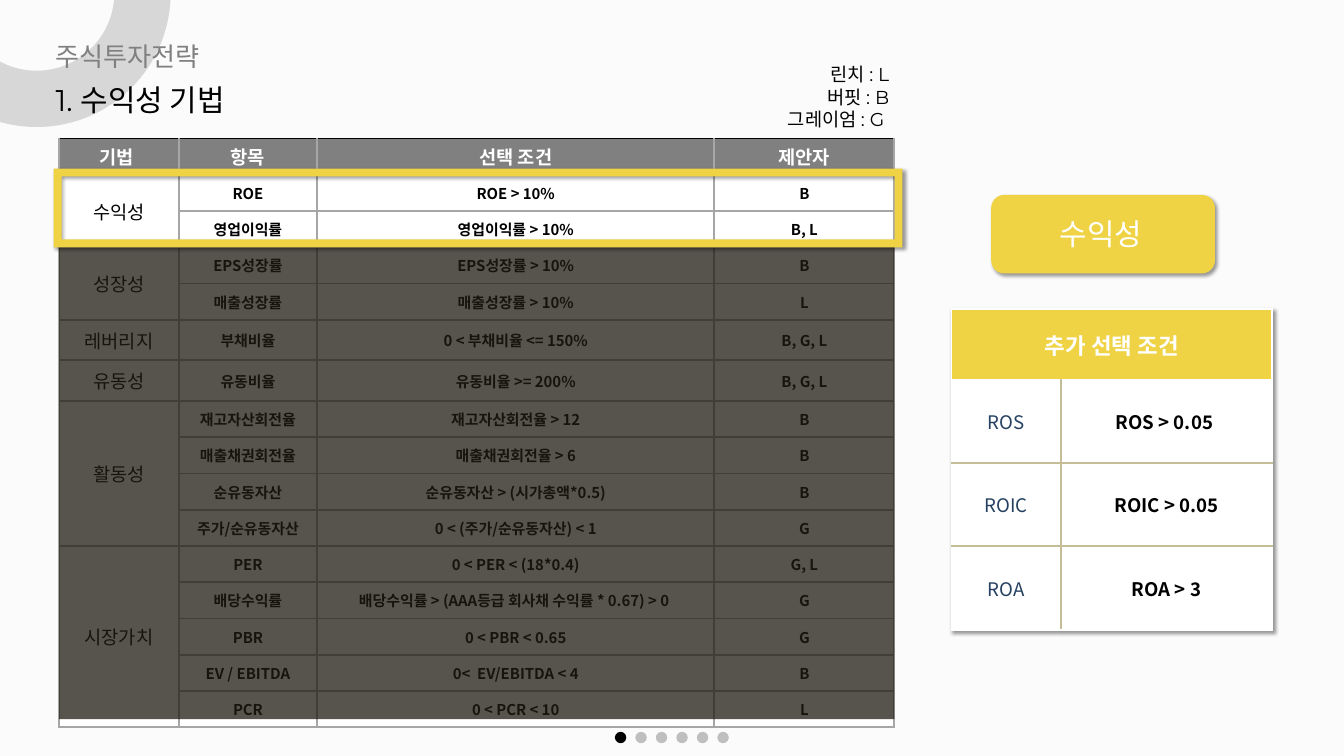
import lxml.etree
import pptx
import pptx.dml.color
import pptx.enum.shapes
import pptx.enum.text
import pptx.oxml.ns
import pptx.util

SHAPE = pptx.enum.shapes.MSO_SHAPE
ALIGN = pptx.enum.text.PP_ALIGN
SANS, DISPLAY = "Noto Sans CJK KR", "Montserrat"
YELLOW, GRAY, LINE, TAN = "EFD345", "808080", "A6A6A6", "C4BD97"
WHITE, BLACK, SILVER, NAVY, SHADE = "FFFFFF", "000000", "BFBFBF", "254061", "1E1C11"

METHODS = [
    ("수익성", [("ROE", "ROE > 10%", "B"), ("영업이익률", "영업이익률 > 10%", "B, L")]),
    ("성장성", [("EPS성장률", "EPS성장률 > 10%", "B"), ("매출성장률", "매출성장률 > 10%", "L")]),
    ("레버리지", [("부채비율", "0 < 부채비율 <= 150%", "B, G, L")]),
    ("유동성", [("유동비율", "유동비율 >= 200%", "B, G, L")]),
    ("활동성", [
        ("재고자산회전율", "재고자산회전율 > 12", "B"),
        ("매출채권회전율", "매출채권회전율 > 6", "B"),
        ("순유동자산", "순유동자산 > (시가총액*0.5)", "B"),
        ("주가/순유동자산", "0 < (주가/순유동자산) < 1", "G"),
    ]),
    ("시장가치", [
        ("PER", "0 < PER < (18*0.4)", "G, L"),
        ("배당수익률", "배당수익률 > (AAA등급 회사채 수익률 * 0.67) > 0 ", "G"),
        ("PBR", "0 < PBR < 0.65", "G"),
        ("EV / EBITDA", "0<  EV/EBITDA < 4", "B"),
        ("PCR", "0 < PCR < 10", "L"),
    ]),
]
EXTRAS = [("ROS", "ROS > 0.05 "), ("ROIC", "ROIC > 0.05"), ("ROA", "ROA > 3")]


def color(value):
    return pptx.dml.color.RGBColor.from_string(value)


def element(parent, tag, **attributes):
    values = {key: str(value) for key, value in attributes.items()}
    return lxml.etree.SubElement(parent, pptx.oxml.ns.qn(tag), values)


class Board:
    """Draws styled elements on one slide, measured on a grid of 80 columns by 45 rows."""

    def __init__(self, deck):
        self.column = deck.slide_width / 80
        self.row = deck.slide_height / 45
        self.page = deck.slides.add_slide(deck.slide_layouts[6])
        self.page.background.fill.solid()
        self.page.background.fill.fore_color.rgb = color("FBFBFB")

    def place(self, left, top, width, height):
        return (int(left * self.column), int(top * self.row),
                int(width * self.column), int(height * self.row))

    def add_lines(self, frame, lines, size, fill, font=SANS, bold=False, align=ALIGN.CENTER):
        for index, line in enumerate(lines):
            para = frame.add_paragraph() if index else frame.paragraphs[0]
            para.alignment = align
            span = para.add_run()
            span.text = line
            span.font.size = pptx.util.Pt(size)
            span.font.bold = bold
            span.font.color.rgb = color(fill)
            span.font.name = font
            element(span.font._element, "a:ea", typeface=SANS)

    def text(self, spot, lines, size, fill, font=DISPLAY, align=ALIGN.LEFT):
        box = self.page.shapes.add_textbox(*self.place(*spot))
        box.text_frame.word_wrap = True
        box.text_frame.auto_size = pptx.enum.text.MSO_AUTO_SIZE.SHAPE_TO_FIT_TEXT
        self.add_lines(box.text_frame, lines, size, fill, font, align=align)

    def shadow(self, parent):
        effects = element(parent, "a:effectLst")
        outer = element(effects, "a:outerShdw", blurRad=pptx.util.Pt(4), dist=pptx.util.Pt(3),
                        dir=45 * 60000, algn="tl", rotWithShape=0)
        element(element(outer, "a:srgbClr", val=BLACK), "a:alpha", val=40000)
        return effects

    def shape(self, kind, spot, fill, alpha=None, adjust=(), rotation=0, shadow=False, group=None):
        shapes = group.shapes if group else self.page.shapes
        shape = shapes.add_shape(kind, *self.place(*spot))
        for index, value in enumerate(adjust):
            shape.adjustments[index] = value
        shape.rotation = rotation
        shape.fill.solid()
        shape.fill.fore_color.rgb = color(fill)
        shape.line.fill.background()
        properties = shape._element.spPr
        if alpha:
            tint = properties.find(pptx.oxml.ns.qn("a:solidFill"))[0]
            element(tint, "a:alpha", val=alpha * 1000)
        if shadow:
            self.shadow(properties)
        else:
            shape.shadow.inherit = False

    def table(self, spot, widths, heights):
        graphic = self.page.shapes.add_table(len(heights), len(widths), *self.place(*spot))
        table = graphic.table
        table.first_row = table.horz_banding = False
        for column, width in zip(table.columns, widths):
            column.width = int(width * self.column)
        for row, height in zip(table.rows, heights):
            row.height = int(height * self.row)
        return table

    def cell(self, cell, fill, borders, inset=0.05):
        cell.vertical_anchor = pptx.enum.text.MSO_ANCHOR.MIDDLE
        cell.margin_top = cell.margin_bottom = pptx.util.Inches(inset)
        properties = cell._tc.get_or_add_tcPr()
        for side, (stroke, width) in zip("LRTB", borders):
            line = element(properties, f"a:ln{side}", w=pptx.util.Pt(width))
            element(element(line, "a:solidFill"), "a:srgbClr", val=stroke)
        cell.fill.solid()
        cell.fill.fore_color.rgb = color(fill)


def add_methods(board):
    rows = [(name if index == 0 else "", *item)
            for name, items in METHODS for index, item in enumerate(items)]
    rows.insert(0, ("기법 ", "항목", "선택 조건", "제안자"))
    table = board.table((3.52, 8.24, 49.72, 34.6), (7.12, 8.24, 23.64, 10.72), [2.16] * len(rows))
    for r, row in enumerate(rows):
        for c, label in enumerate(row):
            cell = table.cell(r, c)
            left = (LINE, 3 if r and c == 0 else 2.25)
            top = (LINE if r else BLACK, 2.25)
            roomy = r > 2 or (r > 0 and c > 1)
            board.cell(cell, WHITE if r else GRAY, (left, (LINE, 2.25), top, (LINE, 2.25)),
                       0.1 if roomy else 0.05)
            if label:
                board.add_lines(cell.text_frame, [label], 16 if r and c else 20,
                                BLACK if r else WHITE, bold=r == 0 or c > 0)
    start = 1
    for name, items in METHODS:
        if len(items) > 1:
            table.cell(start, 0).merge(table.cell(start + len(items) - 1, 0))
        start += len(items)


def add_extras(board):
    table = board.table((56.64, 18.4, 19.08, 19.08), (6.52, 12.56), (4.2, 4.96, 4.96, 4.96))
    table._tbl.tblPr.insert(0, board.shadow(table._tbl.tblPr))
    plain, inner = (WHITE, 2.25), (TAN, 2.25)
    for c in range(2):
        board.cell(table.cell(0, c), YELLOW, [plain] * 4)
    table.cell(0, 0).merge(table.cell(0, 1))
    board.add_lines(table.cell(0, 0).text_frame, ["추가 선택 조건"], 24, WHITE, bold=True)
    for r, row in enumerate(EXTRAS, 1):
        for c, label in enumerate(row):
            cell = table.cell(r, c)
            borders = (inner if c else plain, plain if c else inner,
                       inner if r > 1 else plain, inner if r < len(EXTRAS) else plain)
            board.cell(cell, WHITE, borders)
            board.add_lines(cell.text_frame, [label], 20, BLACK if c else NAVY, bold=c == 1)


def main():
    deck = pptx.Presentation()
    deck.slide_width, deck.slide_height = pptx.util.Inches(20), pptx.util.Inches(11.25)
    board = Board(deck)
    add_methods(board)
    board.shape(SHAPE.BLOCK_ARC, (-5.8, -8.4, 15.96, 15.96), SILVER, 60,
                (108, 213.71, 0.21), 140.1)
    board.text((2.92, 2.2, 20.92, 2.28), ["주식투자전략"], 28, GRAY)
    board.text((2.92, 4.68, 27.4, 2.56), ["1. 수익성 기법"], 32, BLACK)
    add_extras(board)
    board.text((46.12, 3.56, 7.2, 5.8), ["린치 : L", "버핏 : B", "그레이엄 : G "], 20, BLACK,
               align=ALIGN.RIGHT)
    board.shape(SHAPE.RECTANGLE, (3.52, 14.72, 49.72, 28.08), SHADE, 75)
    board.shape(SHAPE.ROUNDED_RECTANGLE, (59, 11.6, 13.32, 4.68), YELLOW, shadow=True)
    board.text((62.68, 12.64, 6.96, 2.56), ["수익성"], 32, WHITE, SANS)
    board.shape(SHAPE.FRAME, (3.2, 10.04, 50.52, 4.68), YELLOW, adjust=(0.1,), shadow=True)
    dots = board.page.shapes.add_group_shape()
    for index in range(6):
        board.shape(SHAPE.FLOWCHART_CONNECTOR, (36.6 + index * 1.22, 43.56, 0.68, 0.68),
                    SILVER if index else BLACK, group=dots)
    deck.save("out.pptx")


if __name__ == "__main__":
    main()
